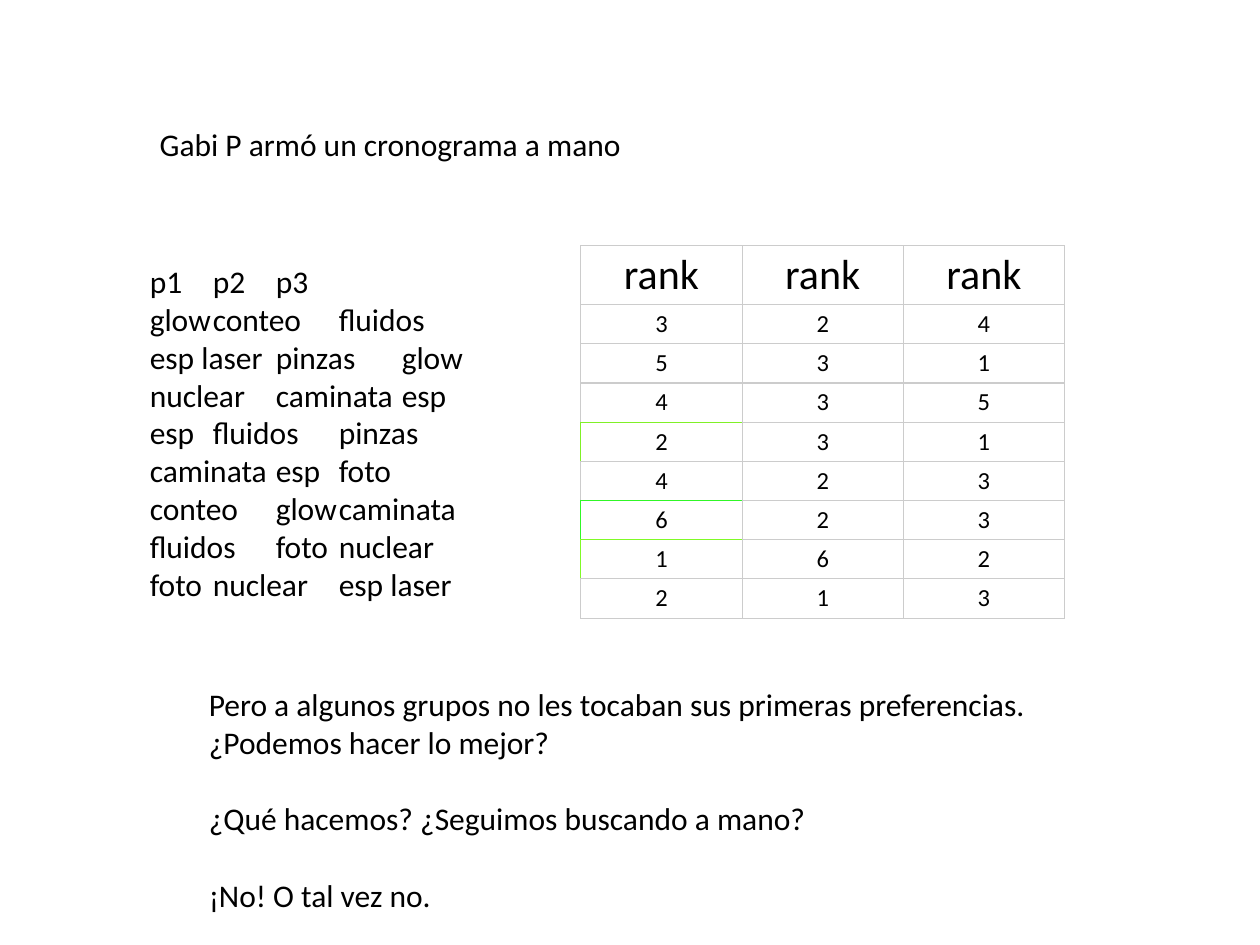
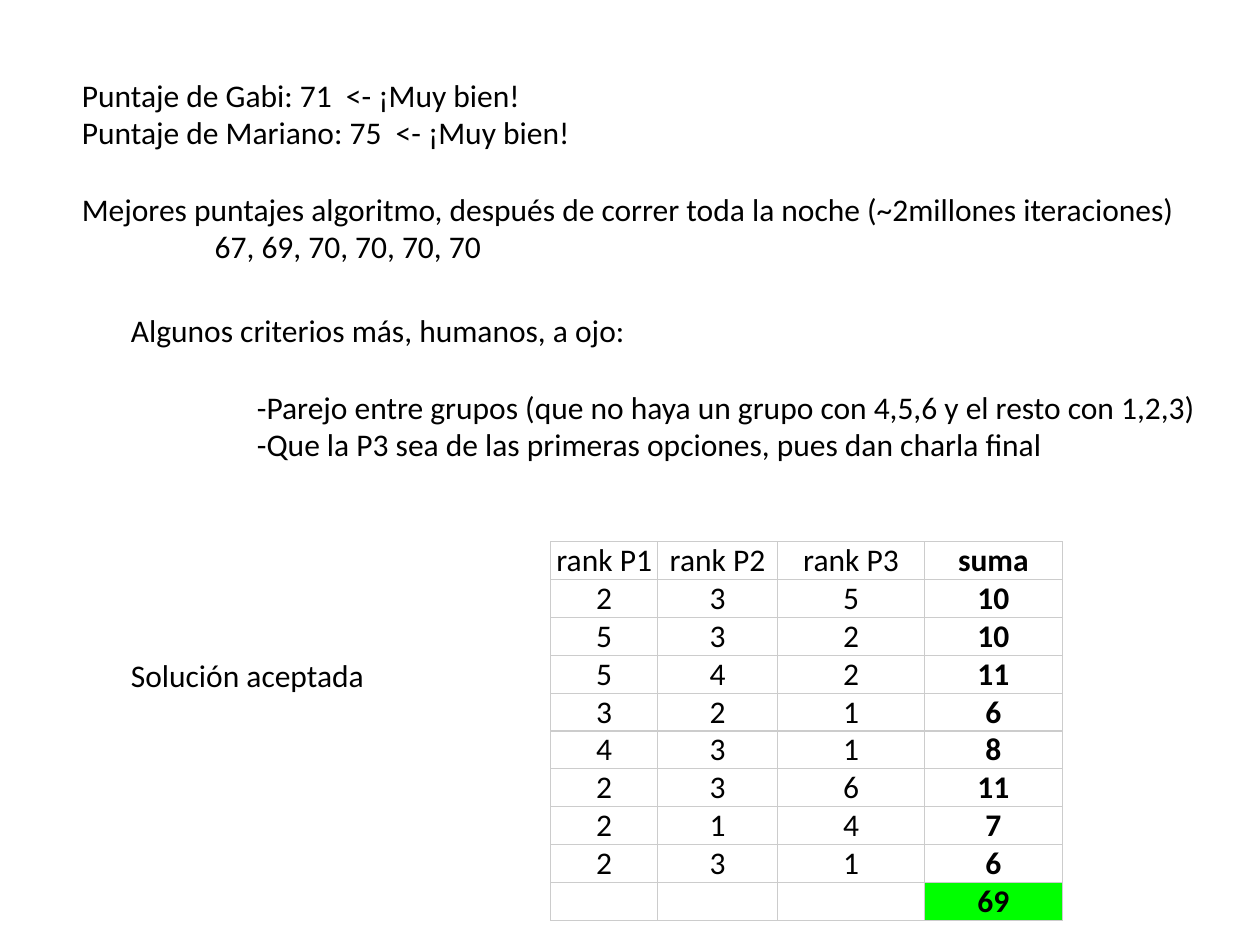
from dataclasses import dataclass, field

from lxml.etree import SubElement
from pptx import Presentation
from pptx.dml.color import RGBColor
from pptx.enum.text import MSO_ANCHOR, MSO_AUTO_SIZE, PP_ALIGN
from pptx.oxml.ns import qn
from pptx.slide import Slide
from pptx.table import _Cell
from pptx.text.text import _Paragraph
from pptx.util import Cm, Pt

FONT = "Calibri"
BODY_SIZE = 18
BLANK_LINE = Pt(22)
BLACK = RGBColor(0x00, 0x00, 0x00)
GRID_GREY = RGBColor(0xCC, 0xCC, 0xCC)
TOTAL_GREEN = RGBColor(0x00, 0xFF, 0x00)
LIME = RGBColor(0x80, 0xF0, 0x27)
BRIGHT_GREEN = RGBColor(0x30, 0xF7, 0x27)
LIGHT_LIME = RGBColor(0x80, 0xFA, 0x27)


@dataclass
class Line:
    text: str
    gap_before: bool = False
    indent: float = 0


@dataclass
class TextBlock:
    left: float
    top: float
    width: float
    height: float
    lines: list[Line]


@dataclass
class RankTable:
    left: float
    top: float
    column_widths: list[float]
    header_height: float
    row_height: float
    header_size: int
    body_size: int
    rows: list[list]
    bold_column: int | None = None
    accent_rows: dict[int, RGBColor] = field(default_factory=dict)
    filled_cells: dict[tuple[int, int], RGBColor] = field(default_factory=dict)


SCHEDULE = [
    ("p1", "p2", "p3"),
    ("glow", "conteo", "fluidos"),
    ("esp laser", "pinzas", "glow"),
    ("nuclear", "caminata", "esp"),
    ("esp", "fluidos", "pinzas"),
    ("caminata", "esp", "foto"),
    ("conteo", "glow", "caminata"),
    ("fluidos", "foto", "nuclear"),
    ("foto", "nuclear", "esp laser"),
]
MANUAL_RANKS = [[3, 2, 4], [5, 3, 1], [4, 3, 5], [2, 3, 1],
                [4, 2, 3], [6, 2, 3], [1, 6, 2], [2, 1, 3]]
ACCEPTED_RANKS = [[2, 3, 5], [5, 3, 2], [5, 4, 2], [3, 2, 1],
                  [4, 3, 1], [2, 3, 6], [2, 1, 4], [2, 3, 1]]

MANUAL_BLOCKS = [
    TextBlock(2.97, 2.39, 12.9, 1.02, [Line("Gabi P armó un cronograma a mano")]),
    TextBlock(2.77, 5.16, 9.73, 7.19, [Line("\t".join(row)) for row in SCHEDULE]),
    TextBlock(3.96, 13.69, 17.86, 4.88, [
        Line("Pero a algunos grupos no les tocaban sus primeras preferencias. "
             "¿Podemos hacer lo mejor?"),
        Line("¿Qué hacemos? ¿Seguimos buscando a mano?", gap_before=True),
        Line("¡No! O tal vez no.", gap_before=True),
    ]),
]
MANUAL_TABLE = RankTable(
    11.71, 4.95, [3.25] * 3, 1.19, 0.79, 24, 14,
    [["rank"] * 3, *MANUAL_RANKS],
    accent_rows={4: LIME, 6: BRIGHT_GREEN, 7: LIGHT_LIME},
)

RESULT_BLOCKS = [
    TextBlock(1.4, 1.4, 23.11, 4.11, [
        Line("Puntaje de Gabi: 71  <- ¡Muy bien!"),
        Line("Puntaje de Mariano: 75  <- ¡Muy bien!"),
        Line("Mejores puntajes algoritmo, después de correr toda la noche "
             "(~2millones iteraciones)", gap_before=True),
        Line("67, 69, 70, 70, 70, 70", indent=2.68),
    ]),
    TextBlock(2.39, 6.15, 22.23, 4.11, [
        Line("Algunos criterios más, humanos, a ojo:"),
        Line("-Parejo entre grupos (que no haya un grupo con 4,5,6 y el resto con 1,2,3)",
             gap_before=True, indent=2.54),
        Line("-Que la P3 sea de las primeras opciones, pues dan charla final", indent=2.54),
    ]),
    TextBlock(2.39, 13.11, 6.35, 1.02, [Line("Solución aceptada")]),
]
RESULT_TABLE = RankTable(
    11.1, 10.92, [2.16, 2.41, 2.97, 2.77], 0.76, 0.76, BODY_SIZE, BODY_SIZE,
    [
        ["rank P1", "rank P2", "rank P3", "suma"],
        *[[*ranks, sum(ranks)] for ranks in ACCEPTED_RANKS],
        ["", "", "", sum(map(sum, ACCEPTED_RANKS))],
    ],
    bold_column=3,
    filled_cells={(9, 3): TOTAL_GREEN},
)


def style_font(paragraph: _Paragraph, size: int, bold: bool = False) -> None:
    font = paragraph.font
    font.name = FONT
    font.size = Pt(size)
    font.bold = bold
    font.color.rgb = BLACK


def add_text_block(slide: Slide, block: TextBlock) -> None:
    shape = slide.shapes.add_textbox(
        Cm(block.left), Cm(block.top), Cm(block.width), Cm(block.height))
    frame = shape.text_frame
    frame.word_wrap = True
    frame.auto_size = MSO_AUTO_SIZE.SHAPE_TO_FIT_TEXT
    for index, line in enumerate(block.lines):
        paragraph = frame.add_paragraph() if index else frame.paragraphs[0]
        paragraph.text = line.text
        style_font(paragraph, BODY_SIZE)
        if line.gap_before:
            paragraph.space_before = BLANK_LINE
        if line.indent:
            properties = paragraph._p.get_or_add_pPr()
            properties.set("marL", str(Cm(line.indent)))
            properties.set("indent", "0")


def set_borders(cell: _Cell, colors: dict[str, RGBColor]) -> None:
    """Draw all four sides; sides (L, R, T, B) missing from colors are grey."""
    properties = cell._tc.get_or_add_tcPr()
    for side in "LRTB":
        border = SubElement(properties, qn(f"a:ln{side}"), w=str(Pt(0.75)))
        fill = SubElement(border, qn("a:solidFill"))
        SubElement(fill, qn("a:srgbClr"), val=str(colors.get(side, GRID_GREY)))


def accent_borders(rank_table: RankTable, row: int, column: int) -> dict[str, RGBColor]:
    """An accent row colours its first cell's left and top, and the bottom above."""
    colors = {}
    if column == 0:
        if row in rank_table.accent_rows:
            colors["L"] = colors["T"] = rank_table.accent_rows[row]
        if row + 1 in rank_table.accent_rows:
            colors["B"] = rank_table.accent_rows[row + 1]
    return colors


def add_rank_table(slide: Slide, rank_table: RankTable) -> None:
    row_count = len(rank_table.rows)
    heights = [rank_table.header_height] + [rank_table.row_height] * (row_count - 1)
    table = slide.shapes.add_table(
        row_count, len(rank_table.column_widths),
        Cm(rank_table.left), Cm(rank_table.top),
        Cm(sum(rank_table.column_widths)), Cm(sum(heights))).table
    table.first_row = False
    table.horz_banding = False
    for column, width in zip(table.columns, rank_table.column_widths):
        column.width = Cm(width)
    for row, height in zip(table.rows, heights):
        row.height = Cm(height)

    for row, values in enumerate(rank_table.rows):
        size = rank_table.body_size if row else rank_table.header_size
        for column, value in enumerate(values):
            cell = table.cell(row, column)
            cell.margin_left = cell.margin_right = Cm(0.08)
            cell.margin_top = cell.margin_bottom = Cm(0)
            cell.vertical_anchor = MSO_ANCHOR.MIDDLE
            set_borders(cell, accent_borders(rank_table, row, column))
            if (row, column) in rank_table.filled_cells:
                cell.fill.solid()
                cell.fill.fore_color.rgb = rank_table.filled_cells[row, column]
            else:
                cell.fill.background()
            paragraph = cell.text_frame.paragraphs[0]
            paragraph.text = str(value)
            paragraph.alignment = PP_ALIGN.CENTER
            style_font(paragraph, size, bold=column == rank_table.bold_column)


def main() -> None:
    presentation = Presentation()
    presentation.slide_width = Cm(25.4)
    presentation.slide_height = Cm(19.05)
    blank_layout = presentation.slide_layouts[6]
    for blocks, rank_table in [(MANUAL_BLOCKS, MANUAL_TABLE),
                               (RESULT_BLOCKS, RESULT_TABLE)]:
        slide = presentation.slides.add_slide(blank_layout)
        for block in blocks:
            add_text_block(slide, block)
        add_rank_table(slide, rank_table)
    presentation.save("out.pptx")


if __name__ == "__main__":
    main()
